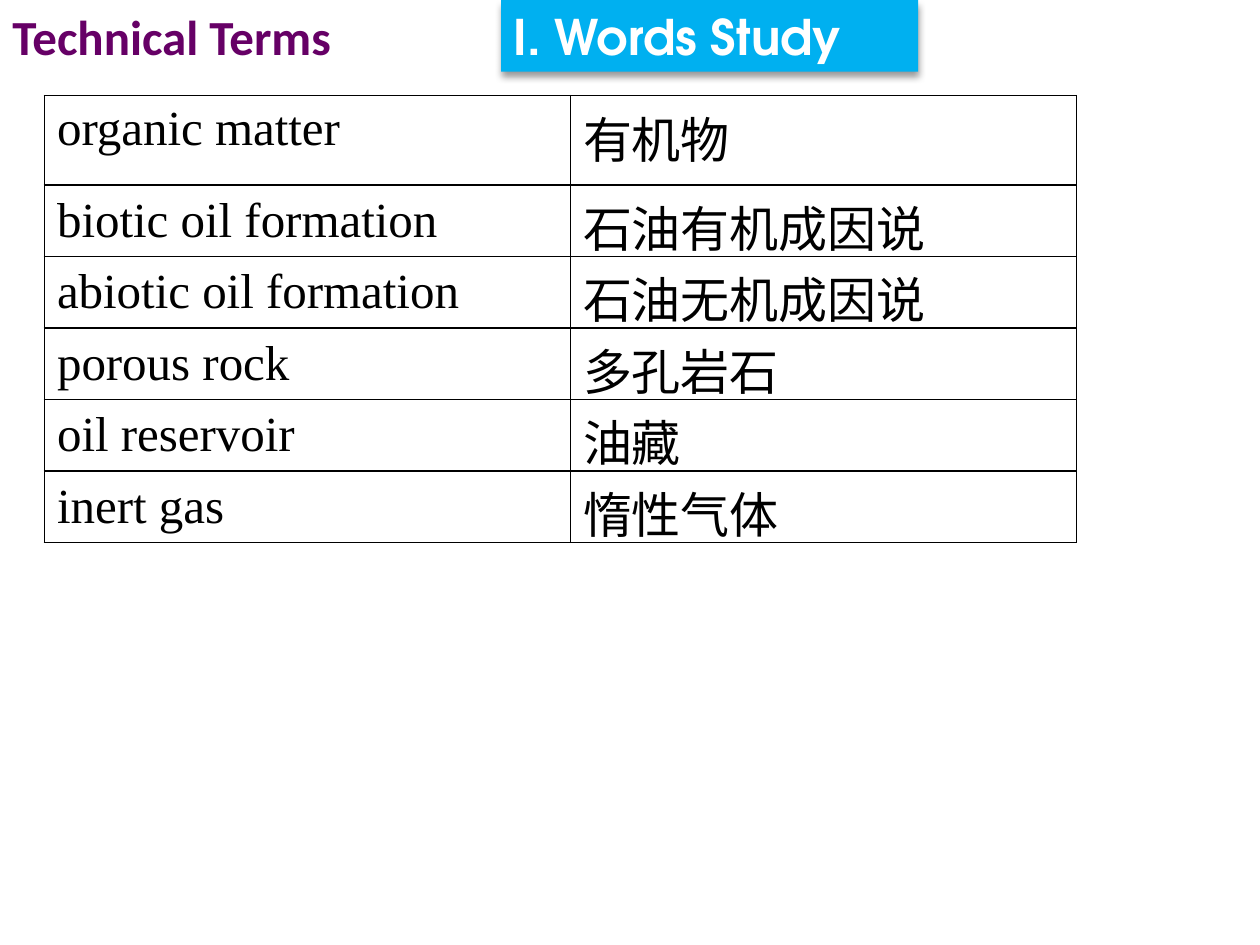
from dataclasses import dataclass

from lxml.etree import SubElement
from pptx import Presentation
from pptx.dml.color import RGBColor
from pptx.enum.shapes import MSO_SHAPE
from pptx.enum.text import MSO_ANCHOR, MSO_AUTO_SIZE, PP_ALIGN
from pptx.oxml.ns import qn
from pptx.shapes.autoshape import Shape
from pptx.slide import Slide
from pptx.table import _Cell
from pptx.util import Pt

BLACK = RGBColor(0x00, 0x00, 0x00)
WHITE = RGBColor(0xFF, 0xFF, 0xFF)
PURPLE = RGBColor(0x66, 0x00, 0x66)
SKY_BLUE = RGBColor(0x00, 0xB0, 0xF0)
TEXT_SIZE = Pt(28)

COLUMN_WIDTHS = (Pt(300.6), Pt(289.1))
FIRST_ROW_HEIGHT, ROW_HEIGHT = Pt(51), Pt(40.86)
# The tall Chinese line may reach into the bottom margin of its row
CHINESE_MARGIN_TOP, CHINESE_MARGIN_BOTTOM = Pt(3), Pt(-2.8)


@dataclass(frozen=True)
class Heading:
    text: str
    left: float
    width: float
    height: float
    font_name: str
    color: RGBColor
    fill: RGBColor | None = None


@dataclass(frozen=True)
class Term:
    english: str
    chinese: str


HEADINGS = (
    Heading("Technical Terms", 0, 229.7, 41.6, "Calibri", PURPLE),
    Heading("I. Words Study", 286.4, 238.3, 41, "TeX Gyre Adventor", WHITE, SKY_BLUE),
)
TERMS = (
    Term("organic matter", "有机物"),
    Term("biotic oil formation", "石油有机成因说"),
    Term("abiotic oil formation", "石油无机成因说"),
    Term("porous rock", "多孔岩石"),
    Term("oil reservoir", "油藏"),
    Term("inert gas", "惰性气体"),
)


def add_text(text_frame, text: str, font_name: str, color: RGBColor, bold: bool) -> None:
    paragraph = text_frame.paragraphs[0]
    paragraph.alignment = PP_ALIGN.LEFT
    run = paragraph.add_run()
    run.text = text
    run.font.name = font_name
    run.font.size = TEXT_SIZE
    run.font.bold = bold
    run.font.color.rgb = color


def add_shadow(shape: Shape) -> None:
    """Soft black shadow falling straight down."""
    effects = shape._element.spPr.find(qn("a:effectLst"))
    shadow = SubElement(effects, qn("a:outerShdw"), blurRad=str(Pt(4)),
                        dist=str(Pt(3)), dir="5400000", rotWithShape="0")
    color = SubElement(shadow, qn("a:srgbClr"), val=str(BLACK))
    SubElement(color, qn("a:alpha"), val="40000")


def add_heading(slide: Slide, heading: Heading) -> None:
    bounds = (Pt(heading.left), Pt(0), Pt(heading.width), Pt(heading.height))
    if heading.fill is None:
        shape = slide.shapes.add_textbox(*bounds)
    else:
        shape = slide.shapes.add_shape(MSO_SHAPE.RECTANGLE, *bounds)
        shape.shadow.inherit = False
        shape.line.fill.background()
        shape.fill.solid()
        shape.fill.fore_color.rgb = heading.fill
        add_shadow(shape)
    text_frame = shape.text_frame
    text_frame.word_wrap = True
    text_frame.auto_size = MSO_AUTO_SIZE.SHAPE_TO_FIT_TEXT
    text_frame.vertical_anchor = MSO_ANCHOR.TOP
    add_text(text_frame, heading.text, heading.font_name, heading.color, True)


def add_borders(cell: _Cell) -> None:
    properties = cell._tc.get_or_add_tcPr()
    for position, side in enumerate(("lnL", "lnR", "lnT", "lnB")):
        line = SubElement(properties, qn(f"a:{side}"), w=str(Pt(1)))
        fill = SubElement(line, qn("a:solidFill"))
        SubElement(fill, qn("a:srgbClr"), val=str(BLACK))
        properties.insert(position, line)  # borders come before the fill


def add_term_table(slide: Slide, terms: tuple[Term, ...]) -> None:
    height = FIRST_ROW_HEIGHT + ROW_HEIGHT * (len(terms) - 1)
    table = slide.shapes.add_table(len(terms), 2, Pt(25.4), Pt(54.7),
                                   sum(COLUMN_WIDTHS), height).table
    table.first_row = False
    table.horz_banding = False
    for column, width in zip(table.columns, COLUMN_WIDTHS):
        column.width = width
    for index, (row, term) in enumerate(zip(table.rows, terms)):
        row.height = ROW_HEIGHT if index else FIRST_ROW_HEIGHT
        for cell, text in zip(row.cells, (term.english, term.chinese)):
            cell.fill.background()
            cell.vertical_anchor = MSO_ANCHOR.MIDDLE if index else MSO_ANCHOR.TOP
            add_borders(cell)
            add_text(cell.text_frame, text, "Times New Roman", BLACK, False)
        if index:
            chinese_cell = row.cells[1]
            chinese_cell.margin_top = CHINESE_MARGIN_TOP
            chinese_cell.margin_bottom = CHINESE_MARGIN_BOTTOM


def main() -> None:
    presentation = Presentation()
    presentation.slide_width, presentation.slide_height = Pt(720), Pt(540)
    slide = presentation.slides.add_slide(presentation.slide_layouts[6])

    # Vocabulary table
    add_term_table(slide, TERMS)

    # Section title and banner
    for heading in HEADINGS:
        add_heading(slide, heading)

    presentation.save("out.pptx")


if __name__ == "__main__":
    main()
